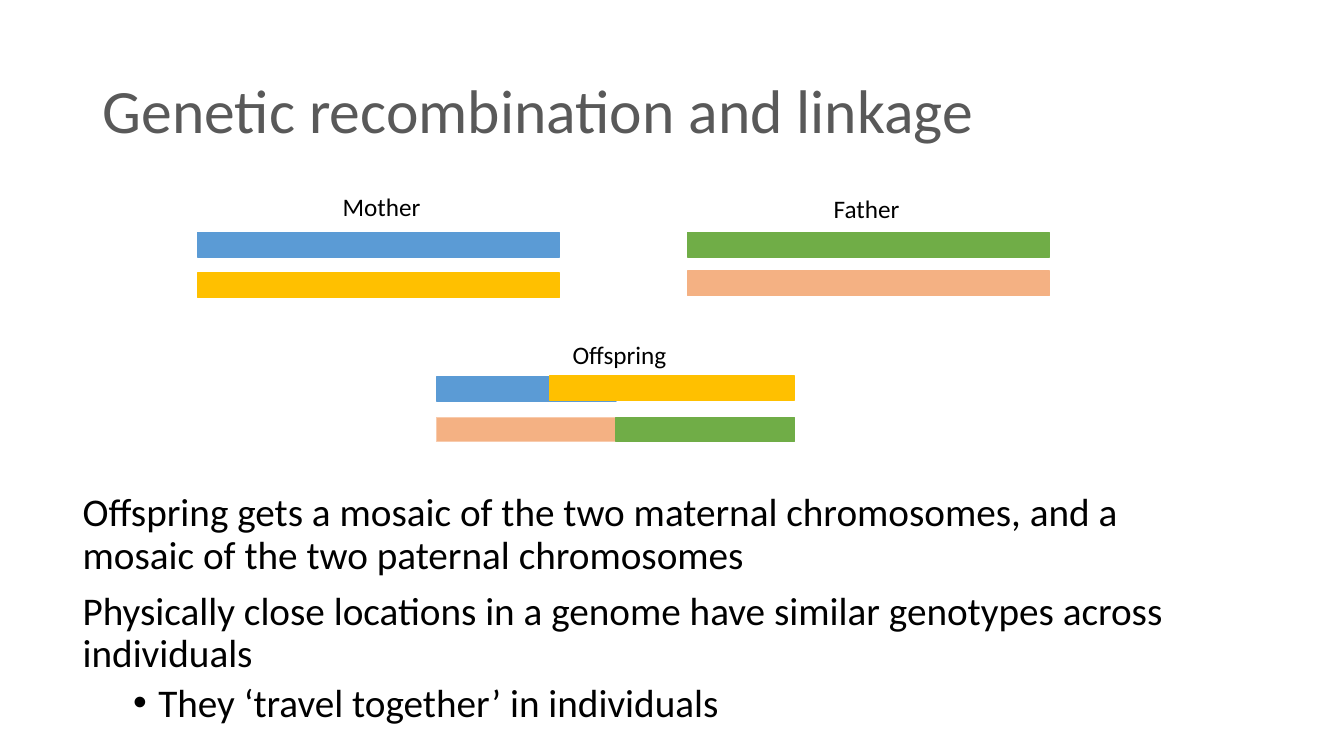
"""Build the slide on genetic recombination and linkage."""
import pptx
import pptx.dml.color
import pptx.enum.shapes
import pptx.enum.text
import pptx.oxml.ns
import pptx.util
from lxml import etree
from pptx.util import Inches

RGBColor = pptx.dml.color.RGBColor
BLACK = RGBColor(0x00, 0x00, 0x00)
GREY = RGBColor(0x59, 0x59, 0x59)
BLUE = RGBColor(0x5B, 0x9B, 0xD5)
GOLD = RGBColor(0xFF, 0xC0, 0x00)
GREEN = RGBColor(0x70, 0xAD, 0x47)
PEACH = RGBColor(0xF4, 0xB1, 0x83)
PALE_PEACH = RGBColor(0xF8, 0xCB, 0xAD)

PARENT_WIDTH = 3.59
SEGMENTS = [
    (1.96, 2.31, PARENT_WIDTH, BLUE, BLUE),
    (1.96, 2.71, PARENT_WIDTH, GOLD, GOLD),
    (6.82, 2.31, PARENT_WIDTH, GREEN, GREEN),
    (6.82, 2.69, PARENT_WIDTH, PEACH, PEACH),
    (4.33, 3.74, 1.78, BLUE, BLUE),
    (4.33, 4.14, 2.33, PEACH, PALE_PEACH),
    (5.45, 3.73, 2.43, GOLD, GOLD),
    (6.11, 4.14, 1.77, GREEN, GREEN),
]
LABELS = [("Mother", 3.3, 1.85), ("Father", 8.17, 1.87), ("Offspring", 5.58, 3.32)]
POINTS = [
    ("Offspring gets a mosaic of the two maternal chromosomes, "
     "and a mosaic of the two paternal chromosomes", 0, 0),
    ("Physically close locations in a genome have similar genotypes "
     "across individuals", 0, 10),
    ("They ‘travel together’ in individuals", 1, 5),
]


def place(part, left, top, width, height):
    """Set the position and size of a placeholder."""
    part.left, part.top = Inches(left), Inches(top)
    part.width, part.height = Inches(width), Inches(height)


def style(paragraph, size, color):
    """Set the font of a whole paragraph."""
    paragraph.font.name = "Calibri"
    paragraph.font.size = pptx.util.Pt(size)
    paragraph.font.color.rgb = color


def set_bullet(paragraph, level):
    """Give sub-points a hanging bullet and main points none."""
    properties = paragraph._p.get_or_add_pPr()
    properties.set("marL", str(Inches(0.75 * level)))
    properties.set("indent", str(Inches(-0.25 * level)))
    tag = "a:buChar" if level else "a:buNone"
    bullet = etree.SubElement(properties, pptx.oxml.ns.qn(tag))
    if level:
        bullet.set("char", "•")


def fill_title(title):
    """Write the slide title."""
    place(title, 0.92, 0.4, 11.5, 1.45)
    frame = title.text_frame
    frame.text = "Genetic recombination and linkage"
    frame.auto_size = pptx.enum.text.MSO_AUTO_SIZE.NONE
    frame.vertical_anchor = pptx.enum.text.MSO_ANCHOR.MIDDLE
    heading = frame.paragraphs[0]
    heading.alignment = pptx.enum.text.PP_ALIGN.LEFT
    heading.line_spacing = 0.9
    style(heading, 44, GREY)


def fill_body(body):
    """Write the explanatory points."""
    place(body, 0.72, 4.84, 10.92, 2.49)
    frame = body.text_frame
    frame.text = "\n".join(text for text, _, _ in POINTS)
    frame.auto_size = pptx.enum.text.MSO_AUTO_SIZE.NONE
    for paragraph, (_, level, space) in zip(frame.paragraphs, POINTS):
        paragraph.level = level
        set_bullet(paragraph, level)
        paragraph.line_spacing = 0.9
        paragraph.space_before = pptx.util.Pt(space)
        style(paragraph, 28, BLACK)


def add_segment(slide, left, top, width, fill, outline):
    """Draw one chromosome segment."""
    segment = slide.shapes.add_shape(
        pptx.enum.shapes.MSO_SHAPE.RECTANGLE,
        Inches(left), Inches(top), Inches(width), Inches(0.24))
    segment.shadow.inherit = False
    segment.fill.solid()
    segment.fill.fore_color.rgb = fill
    segment.line.color.rgb = outline
    segment.line.width = pptx.util.Pt(1)


def add_label(slide, text, left, top):
    """Name one individual above its chromosomes."""
    label = slide.shapes.add_textbox(
        Inches(left), Inches(top), Inches(1.78), Inches(0.4))
    frame = label.text_frame
    frame.word_wrap = True
    frame.auto_size = pptx.enum.text.MSO_AUTO_SIZE.SHAPE_TO_FIT_TEXT
    frame.text = text
    style(frame.paragraphs[0], 18, BLACK)


def main():
    """Build and save the presentation."""
    presentation = pptx.Presentation()
    presentation.slide_width = Inches(13.33)
    presentation.slide_height = Inches(7.5)
    slide = presentation.slides.add_slide(presentation.slide_layouts[1])
    fill_title(slide.shapes.title)
    fill_body(slide.placeholders[1])
    for segment in SEGMENTS:
        add_segment(slide, *segment)
    for label in LABELS:
        add_label(slide, *label)
    presentation.save("out.pptx")


if __name__ == "__main__":
    main()
